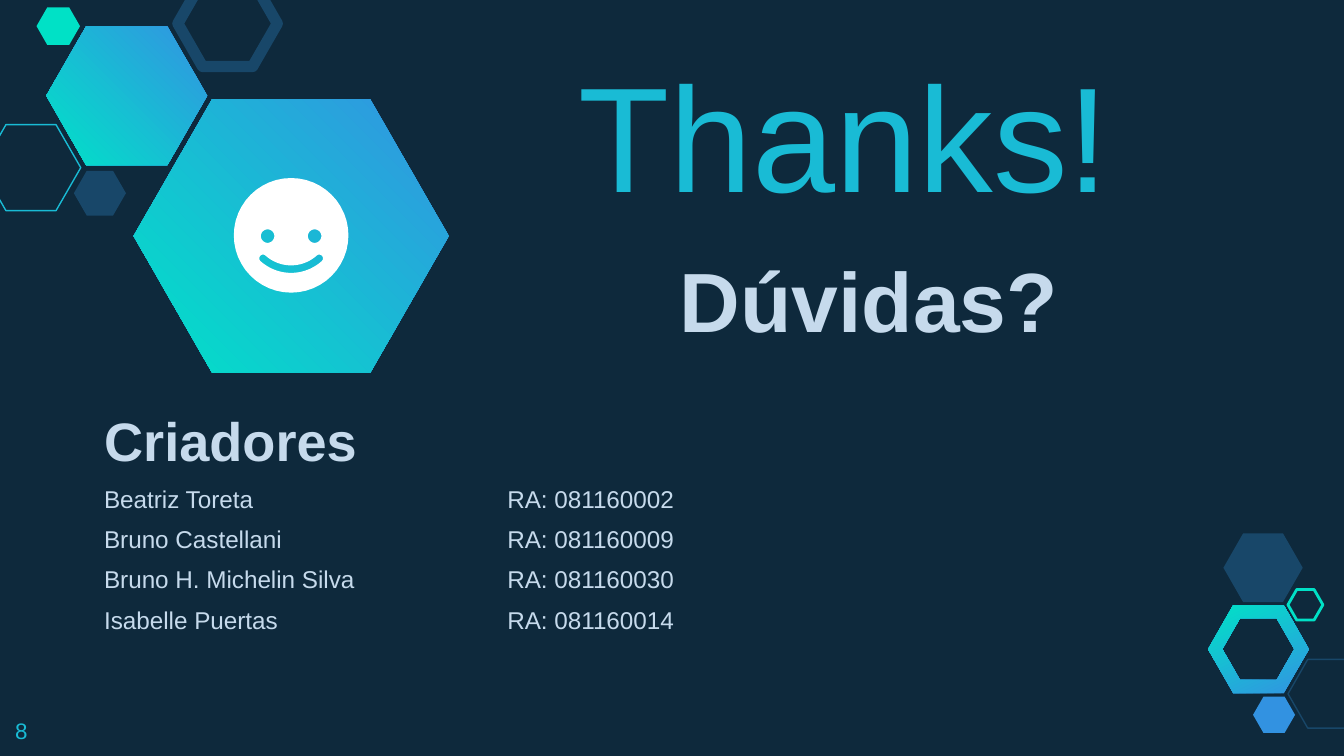
from math import cos, pi, sin

from lxml.etree import SubElement
from pptx import Presentation
from pptx.dml.color import RGBColor
from pptx.enum.shapes import MSO_SHAPE as Shape
from pptx.enum.text import MSO_ANCHOR as Anchor
from pptx.oxml.ns import qn
from pptx.util import Pt

NAVY, BLUE, SKY = "0E293C", "184769", "3292E1"
CYAN, MINT, PALE, WHITE = "19BBD5", "00E1C6", "C6DAEC", "FFFFFF"
BLEND = ("3393E2", "00E2C7")
CUT = 0.287  # hexagon corner inset as a share of its height


def color(code):
    return RGBColor.from_string(code)


def paint(shape, fill=None, line=None, width=0.75, angle=225):
    """Fill with one colour, a pair of colours as a gradient, or nothing."""
    shape.shadow.inherit = False
    if fill is None:
        shape.fill.background()
    elif isinstance(fill, tuple):
        shape.fill.gradient()
        shape.fill.gradient_angle = angle
        for stop, code in zip(shape.fill.gradient_stops, fill):
            stop.color.rgb = color(code)
    else:
        shape.fill.solid()
        shape.fill.fore_color.rgb = color(fill)
    if line:
        shape.line.color.rgb = color(line)
        shape.line.width = Pt(width)
    else:
        shape.line.fill.background()


def add_hex(slide, box, **style):
    shape = slide.shapes.add_shape(Shape.HEXAGON, *map(Pt, box))
    shape.adjustments[0] = CUT
    paint(shape, **style)


def add_outline(slide, loops, **style):
    """Draw closed loops as one shape; inner loops become holes."""
    loops = [[(Pt(x), Pt(y)) for x, y in loop] for loop in loops]
    pen = slide.shapes.build_freeform(*loops[0][0])
    for i, loop in enumerate(loops):
        if i:
            pen.move_to(*loop[0])
        pen.add_line_segments(loop[1:], close=True)
    paint(pen.convert_to_shape(), **style)


def hex_loop(x, y, w, h):
    cut, mid = h * CUT, y + h / 2
    return [(x, mid), (x + cut, y), (x + w - cut, y),
            (x + w, mid), (x + w - cut, y + h), (x + cut, y + h)]


def arc(x, y, r, start=0, end=360, steps=48):
    turns = [(start + (end - start) * i / steps) * pi / 180
             for i in range(steps + 1)]
    return [(x + r * cos(a), y + r * sin(a)) for a in turns]


def add_smiley(slide, x, y):
    # Mouth: a band between two arcs with rounded ends
    top, r, half, a, b = y - 4.4, 22.5, 2, 48, 132
    ends = [(x + r * cos(t * pi / 180), top + r * sin(t * pi / 180))
            for t in (a, b)]
    mouth = (arc(x, top, r + half, a, b)
             + arc(*ends[1], half, b, b + 180, 12)
             + arc(x, top, r - half, b, a)
             + arc(*ends[0], half, a + 180, a + 360, 12))
    eyes = [arc(x + dx, y + 0.4, 3.6) for dx in (-12.6, 12.6)]
    add_outline(slide, [arc(x, y, 30.7), *eyes, mouth], fill=WHITE)


def add_tabs(para, stops):
    tabs = SubElement(para._p.get_or_add_pPr(), qn("a:tabLst"))
    for stop in stops:
        SubElement(tabs, qn("a:tab"), pos=str(Pt(stop)), algn="l")


def add_text(slide, box, lines, anchor=Anchor.TOP, gap=0, stops=()):
    """Each line is (text, size, colour, bold)."""
    frame = slide.shapes.add_textbox(*map(Pt, box)).text_frame
    frame.word_wrap = True
    frame.vertical_anchor = anchor
    frame.margin_left = frame.margin_right = Pt(7.2)
    frame.margin_top = frame.margin_bottom = Pt(7.2)
    for i, (text, size, code, bold) in enumerate(lines):
        para = frame.add_paragraph() if i else frame.paragraphs[0]
        para.space_before = Pt(gap)
        if stops:
            add_tabs(para, stops)
        run = para.add_run()
        run.text = text
        run.font.name = "Arial"
        run.font.size = Pt(size)
        run.font.bold = bold
        run.font.color.rgb = color(code)


def main():
    deck = Presentation()
    deck.slide_width, deck.slide_height = Pt(720), Pt(405)
    slide = deck.slides.add_slide(deck.slide_layouts[6])
    slide.background.fill.solid()
    slide.background.fill.fore_color.rgb = color(NAVY)

    # Bottom right cluster
    ring = [hex_loop(647.2, 324.3, 54, 47), hex_loop(654.8, 331.2, 38.6, 33.1)]
    add_outline(slide, ring, fill=BLEND, angle=116)
    add_hex(slide, (690, 353.3, 42.5, 36.8), line=BLUE)
    add_hex(slide, (671.3, 373.3, 22.5, 19.4), fill=SKY)
    add_hex(slide, (655.4, 285.8, 42.5, 36.8), fill=BLUE)
    add_hex(slide, (690, 315.8, 18.7, 16.4), line=MINT, width=1.5)

    # Top left cluster
    add_hex(slide, (24.8, 14.1, 86.2, 74.4), fill=BLEND)
    add_hex(slide, (-10, 66.8, 53.3, 46.1), line=CYAN)
    add_hex(slide, (39.6, 91.5, 27.9, 24), fill=BLUE)
    add_hex(slide, (95.3, -10.4, 53.3, 46.1), line=BLUE, width=6)
    add_hex(slide, (19.6, 3.9, 23.3, 20.2), fill=MINT)
    add_hex(slide, (71.6, 53.2, 168.8, 146.5), fill=BLEND)
    add_smiley(slide, 156, 126.1)

    # Headings
    add_text(slide, (302.8, 35, 359.3, 91.4),
             [("Thanks!", 80, CYAN, False)], Anchor.BOTTOM)
    add_text(slide, (357.1, 126, 359.3, 193.7),
             [("Dúvidas?", 45, PALE, True)], gap=6)

    # Page number
    add_text(slide, (1, 377, 43.2, 28), [("8", 12, CYAN, False)])

    # Authors
    people = [("Beatriz Toreta", "081160002"),
              ("Bruno Castellani", "081160009"),
              ("Bruno H. Michelin Silva", "081160030"),
              ("Isabelle Puertas", "081160014")]
    rows = [(f"{name}\t\tRA: {code}", 13, PALE, False)
            for name, code in people]
    add_text(slide, (48.7, 211.2, 334.8, 193.7),
             [("Criadores", 29, PALE, True), *rows], gap=6, stops=(144, 216))

    deck.save("out.pptx")


if __name__ == "__main__":
    main()
